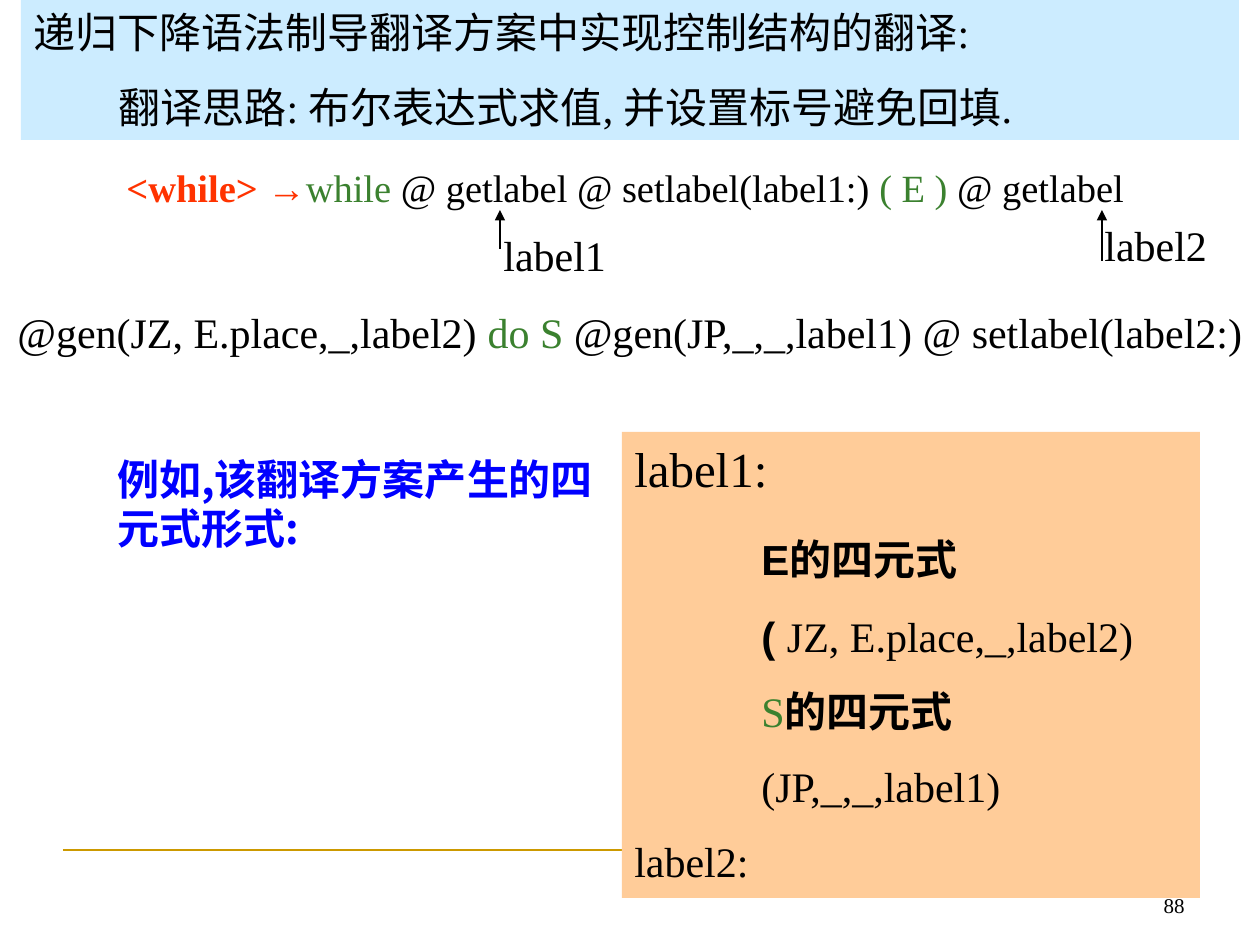
from pptx import Presentation
from pptx.dml.color import RGBColor
from pptx.enum.shapes import MSO_CONNECTOR, MSO_SHAPE
from pptx.enum.text import MSO_ANCHOR, MSO_AUTO_SIZE, PP_ALIGN
from pptx.oxml.ns import qn
from pptx.util import Pt
from lxml.etree import SubElement

PX = 7257
BLACK = "000000"
GREEN = "3B812F"


def rgb(value):
    return RGBColor.from_string(value)


def add_text(paragraph, text, size=24, color=BLACK, bold=False, font="Times New Roman"):
    run = paragraph.add_run()
    run.text = text
    run.font.size = Pt(size)
    run.font.color.rgb = rgb(color)
    run.font.bold = bold
    run.font.name = font


presentation = Presentation()
presentation.slide_width = 1260 * PX
presentation.slide_height = 945 * PX
slide = presentation.slides.add_slide(presentation.slide_layouts[5])
shapes = slide.shapes

title = shapes.title
title.left, title.top, title.width, title.height = 21 * PX, 0, 1218 * PX, 140 * PX
title.fill.solid()
title.fill.fore_color.rgb = rgb("CCECFF")
title_frame = title.text_frame
title_frame.auto_size = MSO_AUTO_SIZE.NONE
title_frame.vertical_anchor = MSO_ANCHOR.TOP
heading = title_frame.paragraphs[0]
idea = title_frame.add_paragraph()
add_text(heading, "递归下降语法制导翻译方案中实现控制结构的翻译:")
add_text(idea, "翻译思路: 布尔表达式求值, 并设置标号避免回填.")
idea.space_before = Pt(14)
idea._p.get_or_add_pPr().set("marL", str(85 * PX))
idea._p.get_or_add_pPr().set("indent", "0")
for paragraph in title_frame.paragraphs:
    paragraph.alignment = PP_ALIGN.LEFT

lines = [
    (63, 850, 1197, 850, "CC9900", 1.5, False),
    (500, 249, 500, 210, BLACK, 0.75, True),
    (1102, 261, 1102, 210, BLACK, 0.75, True),
]
for x1, y1, x2, y2, color, width, has_arrow in lines:
    line = shapes.add_connector(MSO_CONNECTOR.STRAIGHT, x1 * PX, y1 * PX, x2 * PX, y2 * PX)
    line.line.color.rgb = rgb(color)
    line.line.width = Pt(width)
    properties = line._element.spPr
    if has_arrow:
        SubElement(properties.find(qn("a:ln")), qn("a:tailEnd"), type="triangle")
    SubElement(properties, qn("a:effectLst"))

production = shapes.add_textbox(0, 158 * PX, 1260 * PX, 212 * PX).text_frame
production.word_wrap = True
first_part = production.paragraphs[0]
second_part = production.add_paragraph()
second_part.space_before = Pt(55)
for paragraph in (first_part, second_part):
    paragraph.alignment = PP_ALIGN.CENTER
add_text(first_part, "<while> ", size=22, color="FF3300", bold=True)
add_text(first_part, "→", size=22, color="FF3300")
add_text(first_part, "while ", size=22, color=GREEN)
add_text(first_part, "@ getlabel @ setlabel(label1:) ", size=22)
add_text(first_part, "( E )", size=22, color=GREEN)
add_text(first_part, " @ getlabel ", size=22)
add_text(second_part, "@gen(JZ, E.place,_,label2) ")
add_text(second_part, "do S", color=GREEN)
add_text(second_part, " @gen(JP,_,_,label1) @ setlabel(label2:)")

for text, left, top, width in [("label1", 491, 223, 134), ("label2", 1092, 213, 147)]:
    label = shapes.add_textbox(left * PX, top * PX, width * PX, 63 * PX).text_frame
    label.word_wrap = True
    add_text(label.paragraphs[0], text)

code_box = shapes.add_shape(MSO_SHAPE.RECTANGLE, 622 * PX, 432 * PX, 578 * PX, 466 * PX)
code_box.shadow.inherit = False
code_box.fill.solid()
code_box.fill.fore_color.rgb = rgb("FFCC99")
code_box.line.fill.background()
code = code_box.text_frame
code.word_wrap = True
code.vertical_anchor = MSO_ANCHOR.TOP
strong = {"bold": True, "font": "Arial"}
code_lines = [
    (0, 0, [("label1:", {"size": 28})]),
    (127, 21, [("E的四元式", strong)]),
    (127, 15, [("( ", strong), ("JZ, E.place,_,label2)", {})]),
    (127, 14, [("S", {"color": GREEN}), ("的四元式", strong)]),
    (127, 14, [("(JP,_,_,label1)", {})]),
    (0, 14, [("label2:", {})]),
]
for number, (indent, space, parts) in enumerate(code_lines):
    paragraph = code.add_paragraph() if number else code.paragraphs[0]
    paragraph.alignment = PP_ALIGN.LEFT
    paragraph.space_before = Pt(space)
    paragraph._p.get_or_add_pPr().set("marL", str(indent * PX))
    for text, text_format in parts:
        add_text(paragraph, text, **text_format)

example = shapes.add_textbox(105 * PX, 449 * PX, 504 * PX, 113 * PX).text_frame
example.word_wrap = True
example.paragraphs[0].line_spacing = Pt(28)
add_text(example.paragraphs[0], "例如,该翻译方案产生的四元式形式:", color="0000FF", bold=True,
         font="Noto Sans CJK SC")

page = shapes.add_textbox(903 * PX, 861 * PX, 294 * PX, 63 * PX).text_frame
page.word_wrap = True
page.vertical_anchor = MSO_ANCHOR.BOTTOM
page.paragraphs[0].alignment = PP_ALIGN.RIGHT
add_text(page.paragraphs[0], "88", size=12)

presentation.save("out.pptx")
